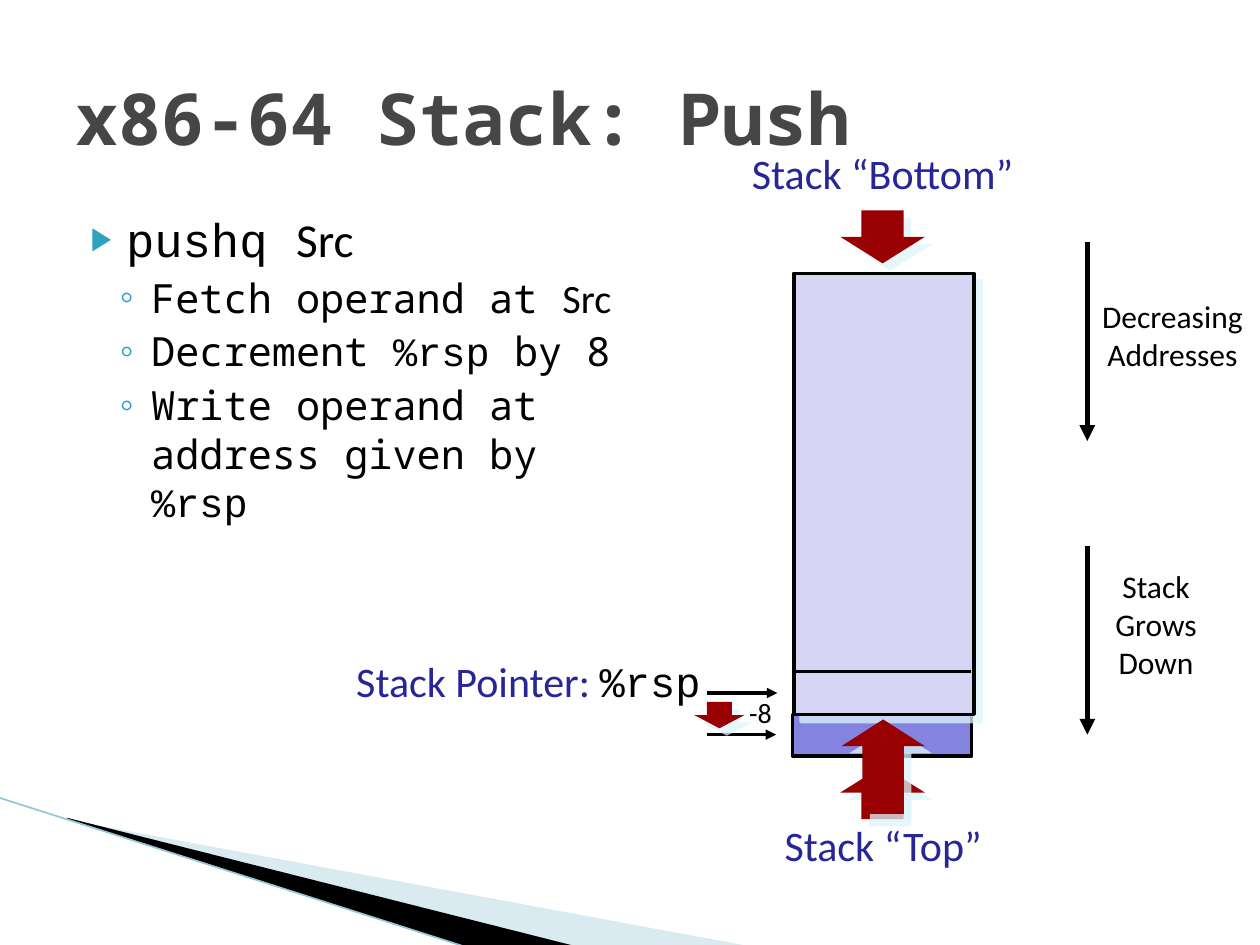
from dataclasses import dataclass

from lxml.etree import SubElement
from pptx import Presentation
from pptx.dml.color import RGBColor
from pptx.enum.shapes import MSO_CONNECTOR, MSO_SHAPE
from pptx.enum.text import MSO_ANCHOR, MSO_AUTO_SIZE, PP_ALIGN
from pptx.oxml.ns import qn
from pptx.util import Inches, Pt


@dataclass(frozen=True)
class Theme:
    """Colours, fonts and type sizes of the slide."""
    black: str = "000000"
    white: str = "FFFFFF"
    title: str = "464646"
    bullet: str = "2DA2BF"
    label: str = "262699"
    arrow: str = "980002"
    shadow: str = "DEF5FA"
    stack: str = "D6D6F4"
    pushed: str = "8484E0"
    swoosh: str = "A0CBDC"
    swoosh_edge: str = "97C5D8"
    sans: str = "Calibri"
    code: str = "Courier New"
    mono: str = "Noto Sans Mono"
    title_pt: float = 41
    body_pt: float = 27
    sub_pt: float = 23
    label_pt: float = 24
    note_pt: float = 18
    small_pt: float = 16


T = Theme()


def rgb(color):
    """Turn a hex string into a colour."""
    return RGBColor.from_string(color)


def place(sp, box):
    """Move a shape to left, top, width, height in inches."""
    for name, value in zip(("left", "top", "width", "height"), box):
        setattr(sp, name, Inches(value))


def add_run(p, text, font, size, color=T.black, bold=False):
    """Append one formatted run to a paragraph."""
    r = p.add_run()
    r.text = text
    for name, value in {"name": font, "size": Pt(size), "bold": bold}.items():
        setattr(r.font, name, value)
    r.font.color.rgb = rgb(color)


def set_indent(p, left, hanging):
    """Give a paragraph a left margin and a hanging first line."""
    pPr = p._p.get_or_add_pPr()
    pPr.set("marL", str(Inches(left)))
    pPr.set("indent", str(Inches(-hanging)))
    return pPr


def add_title(s, text):
    """Fill the title placeholder."""
    sp = s.shapes.title
    place(sp, (0.5, 0.3, 9, 1.25))
    tf = sp.text_frame
    tf.auto_size = MSO_AUTO_SIZE.NONE
    tf.vertical_anchor = MSO_ANCHOR.MIDDLE
    p = tf.paragraphs[0]
    p.alignment = PP_ALIGN.LEFT
    set_indent(p, 0.13, 0.13)
    add_run(p, text, T.mono, T.title_pt, T.title, True)


def add_bullets(s, items):
    """Fill the body placeholder with (level, runs) items."""
    sp = s.placeholders[1]
    place(sp, (0.5, 1.62, 4.5, 4.95))
    tf = sp.text_frame
    tf.auto_size = MSO_AUTO_SIZE.NONE
    levels = [(0.4, 0.28, 4, "▶", 68, T.body_pt), (0.6, 0.25, 3.2, "◦", 100, T.sub_pt)]
    for i, (level, runs) in enumerate(items):
        p = tf.add_paragraph() if i else tf.paragraphs[0]
        left, hanging, before, char, percent, size = levels[level]
        p.level = level
        p.space_before = Pt(before)
        pPr = set_indent(p, left, hanging)
        SubElement(SubElement(pPr, qn("a:buClr")), qn("a:srgbClr"), val=T.bullet)
        SubElement(pPr, qn("a:buSzPct"), val=str(percent * 1000))
        SubElement(pPr, qn("a:buChar"), char=char)
        for text, font in runs:
            add_run(p, text, font, size)


def add_label(s, box, lines, align=PP_ALIGN.CENTER, inset=0, wrap=False, fill=None):
    """Add a text box; each line is a list of run arguments."""
    sp = s.shapes.add_textbox(*map(Inches, box))
    if fill:
        sp.fill.solid()
        sp.fill.fore_color.rgb = rgb(fill)
    tf = sp.text_frame
    tf.word_wrap = wrap
    for side in ("left", "top", "right", "bottom"):
        setattr(tf, f"margin_{side}", Inches(inset))
    for i, runs in enumerate(lines):
        p = tf.add_paragraph() if i else tf.paragraphs[0]
        p.alignment = align
        for run in runs:
            add_run(p, *run)


def add_block(s, kind, box, fill, outline=None, shadow=False, head=None):
    """Add a filled preset shape, optionally outlined or with a shadow."""
    sp = s.shapes.add_shape(kind, *map(Inches, box))
    sp.shadow.inherit = False
    sp.fill.solid()
    sp.fill.fore_color.rgb = rgb(fill)
    if outline:
        sp.line.color.rgb = rgb(outline)
        sp.line.width = Pt(2)
    else:
        sp.line.fill.background()
    if head:
        sp.adjustments[1] = head
    if shadow:
        effects = sp._element.spPr.find(qn("a:effectLst"))
        outer = SubElement(effects, qn("a:outerShdw"), dist=str(Pt(6)), dir="2700000",
                           algn="ctr", rotWithShape="0")
        color = SubElement(outer, qn("a:srgbClr"), val=T.shadow)
        SubElement(color, qn("a:alpha"), val="75000")


def add_line(s, start, end, width=2, color=T.black, arrow=True):
    """Add a straight line, with an arrowhead at its end if wanted."""
    cx = s.shapes.add_connector(MSO_CONNECTOR.STRAIGHT, *map(Inches, (*start, *end)))
    cx.line.color.rgb = rgb(color)
    cx.line.width = Pt(width)
    if arrow:
        SubElement(cx.line._get_or_add_ln(), qn("a:tailEnd"), type="triangle")
    SubElement(cx._element.spPr, qn("a:effectLst"))


def add_swoosh(s, points, color, alpha=100):
    """Add a filled polygon of the corner decoration."""
    start, *rest = [(Inches(x), Inches(y)) for x, y in points]
    fb = s.shapes.build_freeform(*start)
    fb.add_line_segments(rest)
    sp = fb.convert_to_shape()
    sp.shadow.inherit = False
    sp.fill.solid()
    sp.fill.fore_color.rgb = rgb(color)
    sp.line.fill.background()
    if alpha < 100:
        clr = sp._element.spPr.find(".//" + qn("a:srgbClr"))
        SubElement(clr, qn("a:alpha"), val=str(alpha * 1000))


def add_stack(s):
    """Draw the stack, the pushed word and the block arrows."""
    add_block(s, MSO_SHAPE.RECTANGLE, (6.29, 5.67, 1.42, 0.33), T.pushed, T.black)
    add_line(s, (5.61, 5.83), (6.16, 5.83))
    add_label(s, (5.9, 5.48, 0.27, 0.35), [[("-8", T.sans, T.small_pt)]], inset=0.04)
    add_block(s, MSO_SHAPE.DOWN_ARROW, (5.51, 5.57, 0.4, 0.21), T.arrow, shadow=True)
    add_line(s, (5.61, 5.5), (6.17, 5.5))
    add_block(s, MSO_SHAPE.RECTANGLE, (6.3, 2.17, 1.43, 3.5), T.stack, T.black, True)
    add_line(s, (6.29, 5.33), (7.71, 5.33), arrow=False)
    add_block(s, MSO_SHAPE.DOWN_ARROW, (6.67, 1.67, 0.67, 0.42), T.arrow, shadow=True)
    add_block(s, MSO_SHAPE.UP_ARROW, (6.67, 6.08, 0.67, 0.42), T.arrow, shadow=True)
    add_block(s, MSO_SHAPE.UP_ARROW, (6.68, 5.71, 0.66, 0.75), T.arrow, shadow=True, head=0.32)


def add_notes_beside_stack(s):
    """Label the stack ends, the pointer and the two directions."""
    for box, text in (((5.89, 1.17, 2.23, 0.49), "Stack “Bottom”"),
                      ((6.16, 6.5, 1.7, 0.49), "Stack “Top”")):
        add_label(s, box, [[(text, T.sans, T.label_pt, T.label)]])
    add_label(s, (2.78, 5.2, 2.78, 0.4),
              [[("Stack Pointer: ", T.sans, T.label_pt, T.label),
                ("%rsp", T.code, T.label_pt)]], PP_ALIGN.RIGHT)
    for top, bottom, box, lines, wrap in (
            (1.92, 3.5, (8.74, 2.36, 1.13, 0.61), ("Decreasing", "Addresses"), False),
            (4.33, 5.83, (8.73, 4.5, 0.89, 1), ("Stack Grows", "Down"), True)):
        add_line(s, (8.63, top), (8.63, bottom), 3)
        add_label(s, box, [[(t, T.sans, T.note_pt)] for t in lines], wrap=wrap, fill=T.white)


def main():
    """Build and save the slide."""
    prs = Presentation()
    prs.slide_width, prs.slide_height = Inches(10), Inches(7.5)
    s = prs.slides.add_slide(prs.slide_layouts[1])
    add_swoosh(s, [(0.55, 6.51), (5.95, 7.51), (4.56, 7.51), (0.55, 6.5)], T.swoosh, 40)
    add_swoosh(s, [(0.53, 6.49), (4.57, 7.51), (3.72, 7.52), (0.54, 6.5)], T.black)
    add_line(s, (-0.01, 6.33), (3.71, 7.52), 0.95, T.swoosh_edge, False)
    add_title(s, "x86-64 Stack: Push")
    add_bullets(s, [
        (0, [("pushq ", T.code), ("Src", T.sans)]),
        (1, [("Fetch operand at ", T.mono), ("Src", T.sans)]),
        (1, [("Decrement ", T.mono), ("%rsp", T.code), (" by 8", T.mono)]),
        (1, [("Write operand at address given by ", T.mono), ("%rsp", T.code)])])
    add_stack(s)
    add_notes_beside_stack(s)
    prs.save("out.pptx")


if __name__ == "__main__":
    main()
